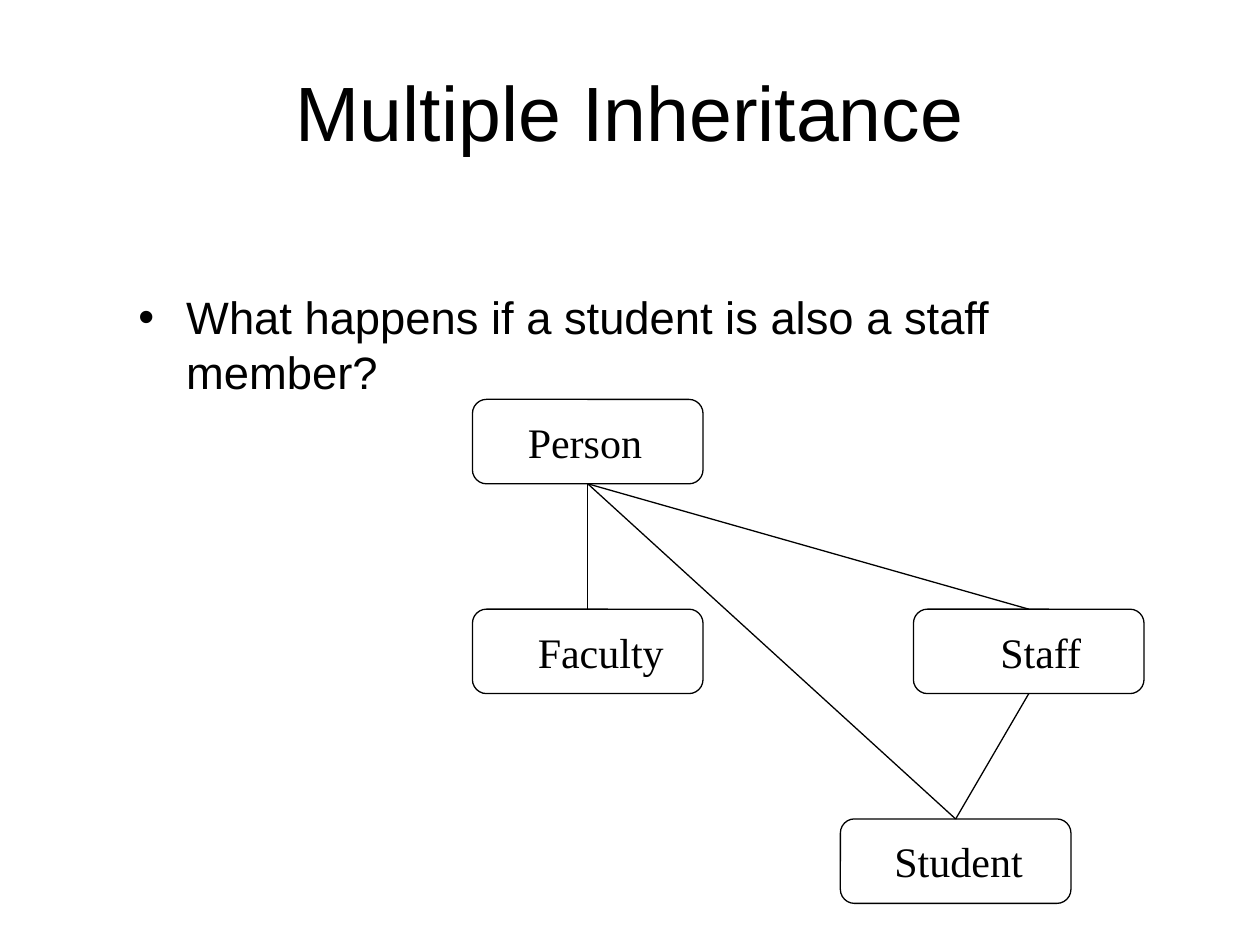
from lxml.etree import SubElement
from pptx import Presentation
from pptx.dml.color import RGBColor
from pptx.enum.shapes import MSO_CONNECTOR as Connector, MSO_SHAPE as Shape
from pptx.enum.text import MSO_ANCHOR as Anchor, PP_ALIGN as Align
from pptx.oxml.ns import qn
from pptx.util import Inches, Pt

# Content
TITLE = "Multiple Inheritance"
QUESTION = "What happens if a student is also a staff member?"
# name: (box left, row, label left, label width)
CLASSES = {
    "Student": (6.67, 2, 7.0, 1.22),
    "Staff": (7.25, 1, 7.84, 0.85),
    "Faculty": (3.75, 1, 4.17, 1.2),
    "Person": (3.75, 0, 4.09, 1.11),
}
LINKS = [("Person", "Student"), ("Person", "Faculty"),
         ("Person", "Staff"), ("Staff", "Student")]

# Style and grid
COLORS = {"ink": "000000"}
INK = RGBColor.from_string(COLORS["ink"])
BOX_WIDTH, BOX_HEIGHT = 1.83, 0.67
FIRST_ROW, ROW_STEP = 3.17, 1.665
LABEL_DROP, LABEL_HEIGHT = 0.085, 0.5
LINE_WIDTH = Pt(0.75)
BULLET_INDENT = Inches(0.38)


def row_top(row):
    return FIRST_ROW + row * ROW_STEP


def add_text(slide, text, area, size, font, wrap=True):
    box = slide.shapes.add_textbox(*map(Inches, area))
    box.text_frame.word_wrap = wrap
    paragraph = box.text_frame.paragraphs[0]
    run = paragraph.add_run()
    run.text = text
    run.font.size = Pt(size)
    run.font.name = font
    run.font.color.rgb = INK
    return box.text_frame, paragraph


def add_bullet(paragraph):
    properties = paragraph._p.get_or_add_pPr()
    properties.set("marL", str(BULLET_INDENT))
    properties.set("indent", str(-BULLET_INDENT))
    SubElement(properties, qn("a:buFont"), typeface="Arial")
    SubElement(properties, qn("a:buChar"), char="•")


def add_class_box(slide, left, row):
    shape = slide.shapes.add_shape(
        Shape.FLOWCHART_ALTERNATE_PROCESS,
        *map(Inches, (left, row_top(row), BOX_WIDTH, BOX_HEIGHT)))
    shape.shadow.inherit = False
    shape.fill.background()
    shape.line.color.rgb = INK
    shape.line.width = LINE_WIDTH
    return shape


def add_link(slide, parent, child):
    connector = slide.shapes.add_connector(Connector.STRAIGHT, 0, 0, 0, 0)
    connector.begin_connect(parent, 2)
    connector.end_connect(child, 0)
    connector.line.color.rgb = INK
    connector.line.width = LINE_WIDTH
    SubElement(connector._element.spPr, qn("a:effectLst"))


def main():
    presentation = Presentation()
    presentation.slide_width, presentation.slide_height = Inches(10), Inches(7.5)
    slide = presentation.slides.add_slide(presentation.slide_layouts[6])

    # Title and question
    frame, paragraph = add_text(slide, TITLE, (0.75, 0.25, 8.5, 1.25), 44, "Arial")
    frame.vertical_anchor = Anchor.MIDDLE
    paragraph.alignment = Align.CENTER
    _, paragraph = add_text(slide, QUESTION, (1, 2.25, 8.5, 0.97), 25.9, "Arial")
    paragraph.space_before = Pt(7)
    add_bullet(paragraph)

    # Class diagram
    boxes = {name: add_class_box(slide, left, row)
             for name, (left, row, _, _) in CLASSES.items()}
    for parent, child in LINKS:
        add_link(slide, boxes[parent], boxes[child])
    for name, (_, row, left, width) in CLASSES.items():
        area = (left, row_top(row) + LABEL_DROP, width, LABEL_HEIGHT)
        add_text(slide, name, area, 24, "Times New Roman", wrap=False)

    presentation.save("out.pptx")


if __name__ == "__main__":
    main()
